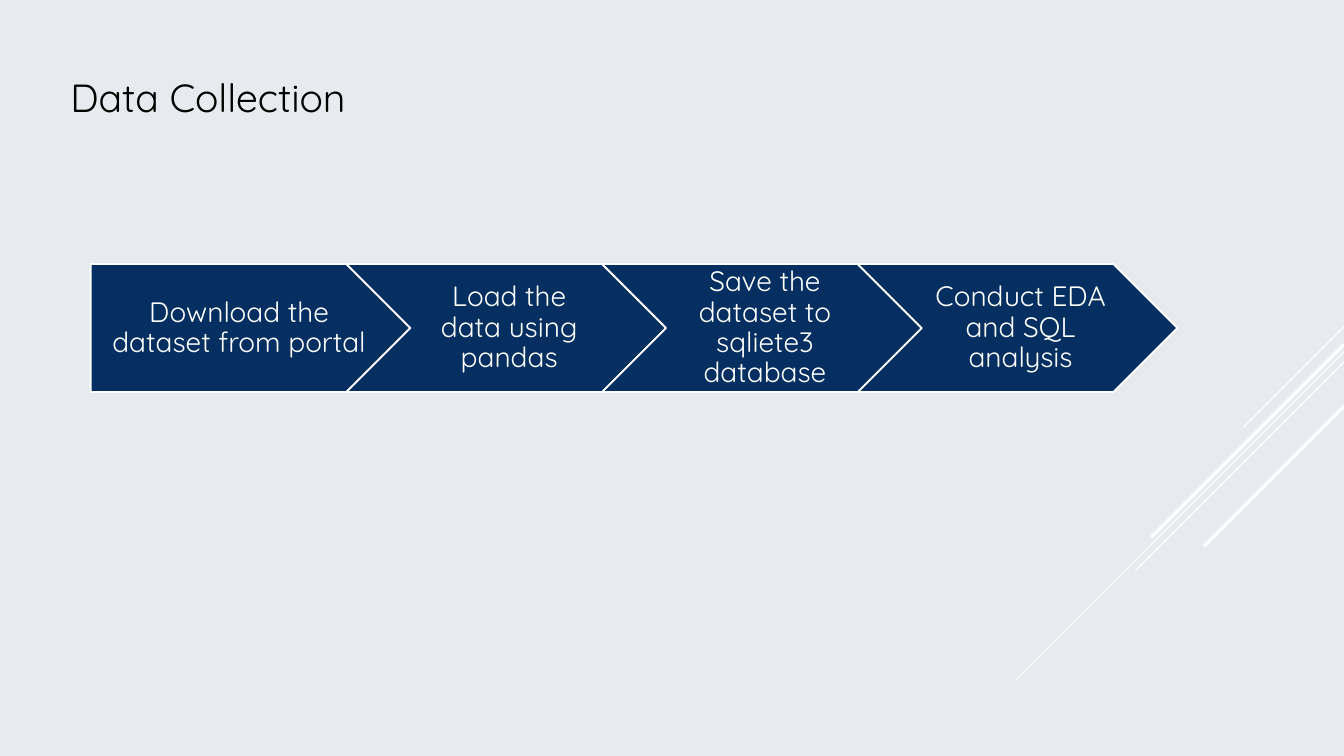
from lxml import etree
from pptx import Presentation
from pptx.dml.color import RGBColor
from pptx.enum.shapes import MSO_CONNECTOR, MSO_SHAPE
from pptx.enum.text import MSO_ANCHOR, PP_ALIGN
from pptx.oxml.ns import qn
from pptx.util import Inches, Pt

STRAIGHT = MSO_CONNECTOR.STRAIGHT
PENTAGON, CHEVRON = MSO_SHAPE.PENTAGON, MSO_SHAPE.CHEVRON
MIDDLE, CENTER = MSO_ANCHOR.MIDDLE, PP_ALIGN.CENTER

TITLE = "Data Collection"
STEPS = [
    "Download the dataset from portal",
    "Load the data using pandas",
    "Save the dataset to sqliete3 database",
    "Conduct EDA and SQL analysis",
]
RAYS = [
    (3.24, 1.0, 0.75),
    (3.49, 3.26, 0.75),
    (3.59, 2.07, 0.75),
    (3.42, 1.91, 2.25),
    (4.03, 1.39, 2.25),
]
COLORS = {"background": "E7EBEF", "navy": "052F61", "white": "FFFFFF", "black": "000000"}
FONT = "Quicksand"
SLIDE_WIDTH, SLIDE_HEIGHT = 13.33, 7.5
STEP_LEFT, STEP_TOP, STEP_WIDTH, STEP_HEIGHT = 0.9, 2.62, 3.17, 1.27
STEP_PITCH = STEP_WIDTH * 0.8


def color(name):
    return RGBColor.from_string(COLORS[name])


def set_attributes(target, values):
    for name, value in values.items():
        setattr(target, name, value)


def write(frame, text, size, color_name):
    para = frame.paragraphs[0]
    span = para.add_run()
    span.text = text
    set_attributes(span.font, {"name": FONT, "size": Pt(size)})
    span.font.color.rgb = color(color_name)
    return para


def add_ray(page, top, reach, weight):
    ray = page.shapes.add_connector(
        STRAIGHT, Inches(SLIDE_WIDTH), Inches(top),
        Inches(SLIDE_WIDTH - reach), Inches(top + reach))
    ray.line.color.rgb = color("white")
    ray.line.width = Pt(weight)
    etree.SubElement(ray._element.spPr, qn("a:effectLst"))


def add_step(page, index, text):
    arrow = page.shapes.add_shape(
        CHEVRON if index else PENTAGON,
        Inches(STEP_LEFT + index * STEP_PITCH), Inches(STEP_TOP),
        Inches(STEP_WIDTH), Inches(STEP_HEIGHT))
    arrow.shadow.inherit = False
    arrow.fill.solid()
    arrow.fill.fore_color.rgb = color("navy")
    arrow.line.color.rgb = color("white")
    arrow.line.width = Pt(1.25)
    set_attributes(arrow.text_frame, {
        "word_wrap": True,
        "vertical_anchor": MIDDLE,
        "margin_left": Inches(0.09 if index else 0.12),
        "margin_right": Inches(0.03),
        "margin_top": Inches(0.06),
        "margin_bottom": Inches(0.06),
    })
    para = write(arrow.text_frame, text, 20, "white")
    set_attributes(para, {"alignment": CENTER, "line_spacing": 0.9})


def main():
    deck = Presentation()
    set_attributes(deck, {"slide_width": Inches(SLIDE_WIDTH), "slide_height": Inches(SLIDE_HEIGHT)})
    page = deck.slides.add_slide(deck.slide_layouts[6])
    page.background.fill.solid()
    page.background.fill.fore_color.rgb = color("background")
    for ray in RAYS:
        add_ray(page, *ray)
    box = page.shapes.add_textbox(Inches(0.6), Inches(0.68), Inches(8.86), Inches(0.57))
    box.text_frame.word_wrap = True
    write(box.text_frame, TITLE, 28, "black")
    for index, text in enumerate(STEPS):
        add_step(page, index, text)
    deck.save("out.pptx")


if __name__ == "__main__":
    main()
